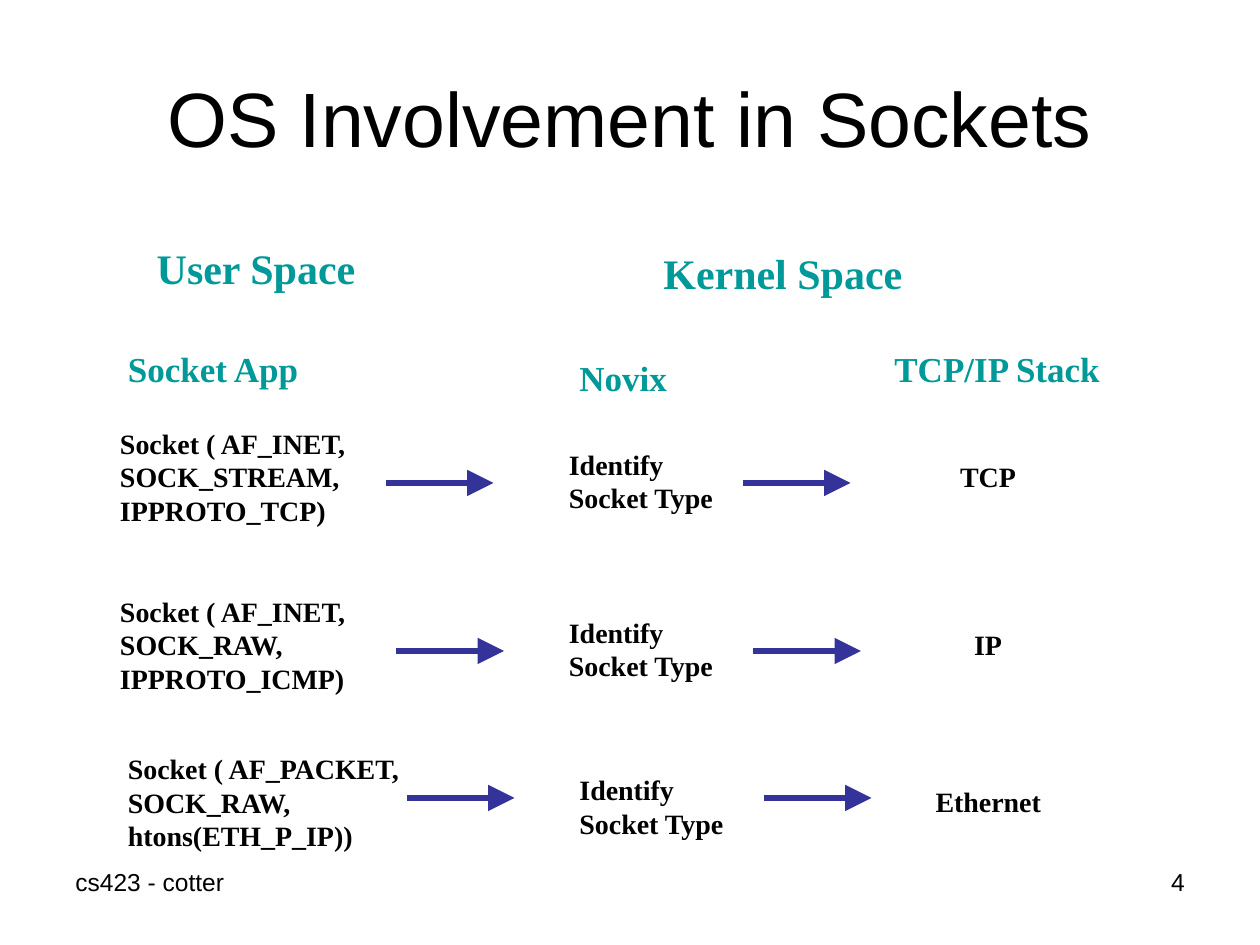
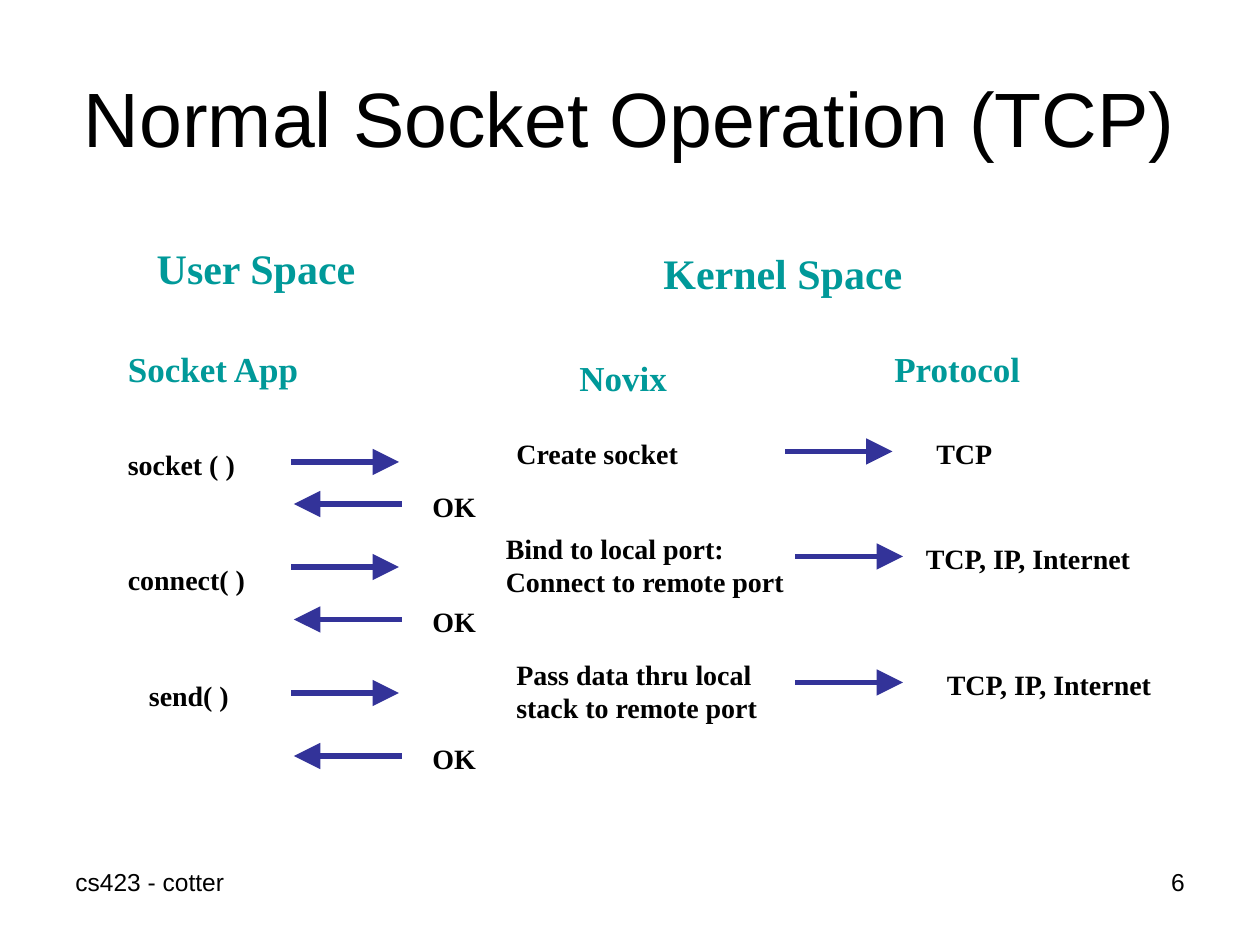
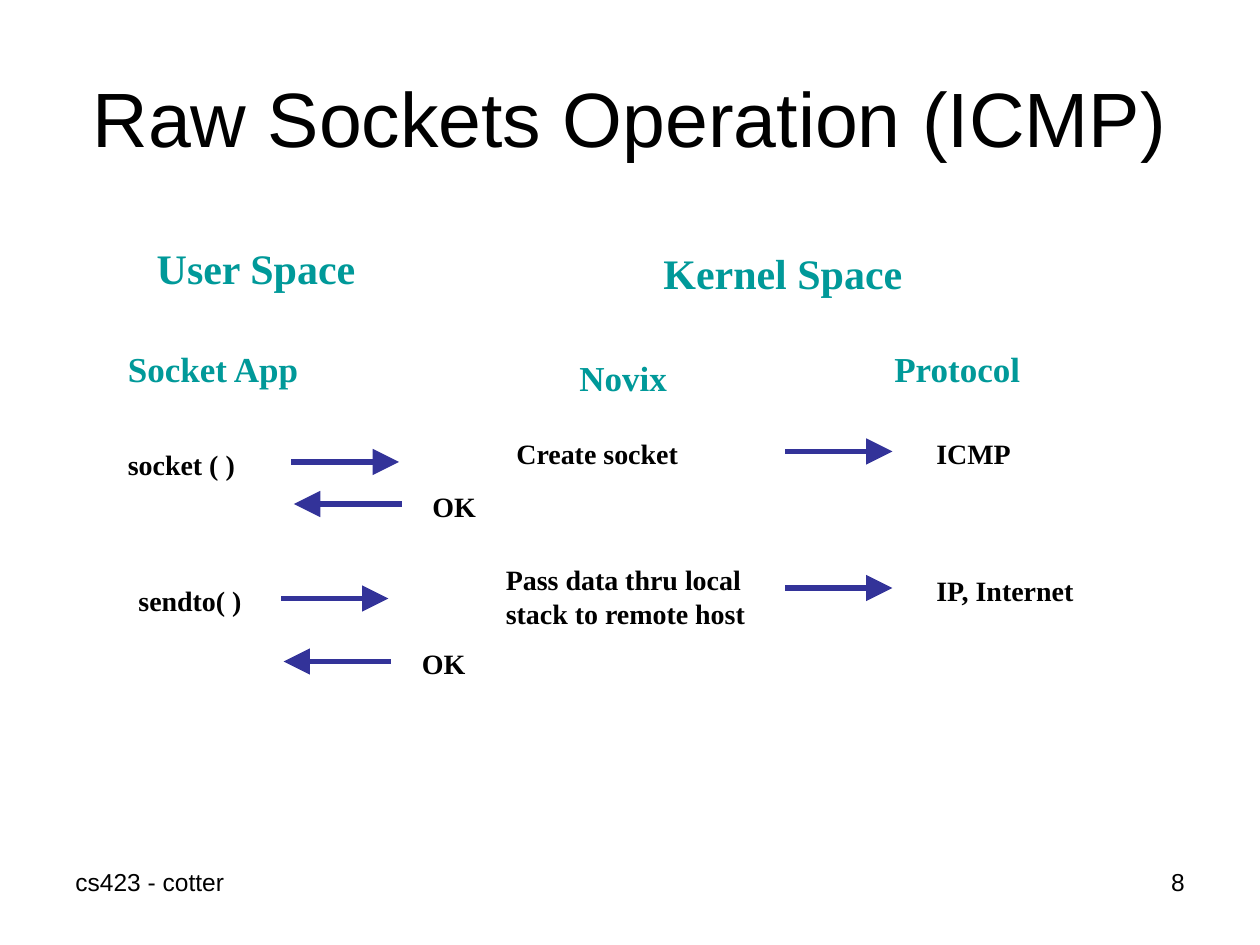
from dataclasses import dataclass

from lxml import etree
from pptx import Presentation
from pptx.dml.color import RGBColor
from pptx.enum.shapes import MSO_CONNECTOR
from pptx.enum.text import MSO_ANCHOR, MSO_AUTO_SIZE, PP_ALIGN
from pptx.oxml.ns import qn
from pptx.util import Pt

STRAIGHT = MSO_CONNECTOR.STRAIGHT
MIDDLE = MSO_ANCHOR.MIDDLE
FIT_SHAPE = MSO_AUTO_SIZE.SHAPE_TO_FIT_TEXT
FIT_NONE = MSO_AUTO_SIZE.NONE
LEFT, CENTER, RIGHT = PP_ALIGN.LEFT, PP_ALIGN.CENTER, PP_ALIGN.RIGHT

COLORS = {"text": "000000", "heading": "009999", "arrow": "333399", "page": "FFFFFF"}
SANS, SERIF = "Arial", "Times New Roman"
TITLE_ONLY = 5
ARROW_LENGTH = 60
STACK_CENTER = 565.5


@dataclass
class Label:
    text: str
    left: float
    top: float
    width: float
    size: int = 16
    color: str = "text"
    wrap: bool = False


@dataclass
class SocketRow:
    arguments: str
    left: float
    top: float
    width: float
    identify_left: float
    arrow_left: float
    arrow_y: float
    protocol: str
    protocol_width: float


@dataclass
class Call:
    name: str
    left: float
    top: float
    arrow_left: float
    reply_y: float
    action: str
    action_left: float
    action_width: float
    kernel_arrow_left: float
    protocol: str
    protocol_left: float
    protocol_top: float
    protocol_width: float
    action_wrap: bool = False


HEADINGS = [
    Label("User Space", 82.5, 135, 128, 24, "heading"),
    Label("Kernel Space", 372, 138, 151, 24, "heading"),
    Label("Socket App", 66, 195, 113, 20, "heading"),
    Label("Novix", 324, 200, 65.5, 20, "heading"),
]
STACK_HEADING = Label("TCP/IP Stack", 504, 195, 133, 20, "heading")
PROTOCOL_HEADING = Label("Protocol", 504, 195, 86.5, 20, "heading")

SOCKET_ROWS = [
    SocketRow("Socket ( AF_INET,\nSOCK_STREAM,\nIPPROTO_TCP)",
              61.5, 240, 150, 318, 222, 276, "TCP", 48),
    SocketRow("Socket ( AF_INET,\nSOCK_RAW,\nIPPROTO_ICMP)",
              61.5, 336, 150, 318, 228, 372, "IP", 32),
    SocketRow("Socket ( AF_PACKET,\nSOCK_RAW,\nhtons(ETH_P_IP))",
              66, 426, 177, 324, 234, 456, "Ethernet", 76),
]

TCP_CALLS = [
    Call("socket ( )", 66, 252, 168, 288, "Create socket", 288, 107,
         450, "TCP", 528, 246, 48),
    Call("connect( )", 66, 318, 168, 354,
         "Bind to local port:\nConnect to remote port", 282, 186,
         456, "TCP, IP, Internet", 522, 306, 135, action_wrap=True),
    Call("send( )", 78, 384, 168, 432,
         "Pass data thru local\nstack to remote port", 288, 153,
         456, "TCP, IP, Internet", 534, 378, 135),
]

ICMP_CALLS = [
    Call("socket ( )", 66, 252, 168, 288, "Create socket", 288, 107,
         450, "ICMP", 528, 246, 58),
    Call("sendto( )", 72, 330, 162, 378,
         "Pass data thru local\nstack to remote host", 282, 152,
         450, "IP, Internet", 528, 324, 94),
]


def format_text(frame, size: int, font: str, color: str, bold: bool, align) -> None:
    for para in frame.paragraphs:
        para.alignment = align
        for span in para.runs:
            span.font.size = Pt(size)
            span.font.name = font
            span.font.bold = bold
            span.font.color.rgb = RGBColor.from_string(COLORS[color])


def draw_label(page, label: Label) -> None:
    line_count = label.text.count("\n") + 1
    height = line_count * label.size * 1.2 + 7.2
    box = page.shapes.add_textbox(
        Pt(label.left), Pt(label.top), Pt(label.width), Pt(height))
    frame = box.text_frame
    frame.text = label.text
    frame.word_wrap = label.wrap
    frame.auto_size = FIT_SHAPE
    format_text(frame, label.size, SERIF, label.color, True, LEFT)


def draw_footer(page, text: str, left: float, align) -> None:
    box = page.shapes.add_textbox(Pt(left), Pt(492), Pt(168), Pt(37.5))
    box.text_frame.text = text
    box.text_frame.word_wrap = True
    format_text(box.text_frame, 14, SANS, "text", False, align)


def draw_arrow(page, start: float, end: float, y: float) -> None:
    arrow = page.shapes.add_connector(STRAIGHT, Pt(start), Pt(y), Pt(end), Pt(y))
    arrow.line.color.rgb = RGBColor.from_string(COLORS["arrow"])
    arrow.line.width = Pt(3)
    properties = arrow.element.find(qn("p:spPr"))
    outline = properties.find(qn("a:ln"))
    outline.set("cap", "sq")
    etree.SubElement(outline, qn("a:tailEnd"), type="triangle", w="lg", len="lg")
    etree.SubElement(properties, qn("a:effectLst"))


def add_page(deck, title: str, number: int, last_heading: Label):
    page = deck.slides.add_slide(deck.slide_layouts[TITLE_ONLY])
    page.background.fill.solid()
    page.background.fill.fore_color.rgb = RGBColor.from_string(COLORS["page"])
    box = page.shapes.title
    box.left, box.top, box.width, box.height = Pt(36), Pt(21.6), Pt(648), Pt(90)
    frame = box.text_frame
    frame.text = title
    frame.word_wrap = True
    frame.auto_size = FIT_NONE
    frame.vertical_anchor = MIDDLE
    format_text(frame, 44, SANS, "text", False, CENTER)
    draw_footer(page, "cs423 - cotter", 36, LEFT)
    draw_footer(page, str(number), 516, RIGHT)
    for heading in [*HEADINGS, last_heading]:
        draw_label(page, heading)
    return page


def draw_socket_row(page, row: SocketRow) -> None:
    draw_label(page, Label(row.arguments, row.left, row.top, row.width))
    draw_label(page, Label("Identify\nSocket Type", row.identify_left, row.top + 12, 99))
    draw_label(page, Label(row.protocol, STACK_CENTER - row.protocol_width / 2,
                           row.top + 19, row.protocol_width))
    for start in (row.arrow_left, row.arrow_left + 204):
        draw_arrow(page, start, start + ARROW_LENGTH, row.arrow_y)


def draw_call(page, call: Call) -> None:
    action_top = call.protocol_top - 6 * call.action.count("\n")
    kernel_y = call.protocol_top + 12
    arrow_right = call.arrow_left + ARROW_LENGTH
    draw_label(page, Label(call.name, call.left, call.top, 96, wrap=True))
    draw_label(page, Label(call.action, call.action_left, action_top,
                           call.action_width, wrap=call.action_wrap))
    draw_label(page, Label(call.protocol, call.protocol_left,
                           call.protocol_top, call.protocol_width))
    draw_label(page, Label("OK", arrow_right + 12, call.reply_y - 12, 54, wrap=True))
    draw_arrow(page, call.arrow_left, arrow_right, kernel_y + 6)
    draw_arrow(page, arrow_right, call.arrow_left, call.reply_y)
    draw_arrow(page, call.kernel_arrow_left,
               call.kernel_arrow_left + ARROW_LENGTH, kernel_y)


def main() -> None:
    deck = Presentation()
    deck.slide_width, deck.slide_height = Pt(720), Pt(540)
    page = add_page(deck, "OS Involvement in Sockets", 4, STACK_HEADING)
    for row in SOCKET_ROWS:
        draw_socket_row(page, row)
    for title, number, calls in (
        ("Normal Socket Operation (TCP)", 6, TCP_CALLS),
        ("Raw Sockets Operation (ICMP)", 8, ICMP_CALLS),
    ):
        page = add_page(deck, title, number, PROTOCOL_HEADING)
        for call in calls:
            draw_call(page, call)
    deck.save("out.pptx")


if __name__ == "__main__":
    main()
